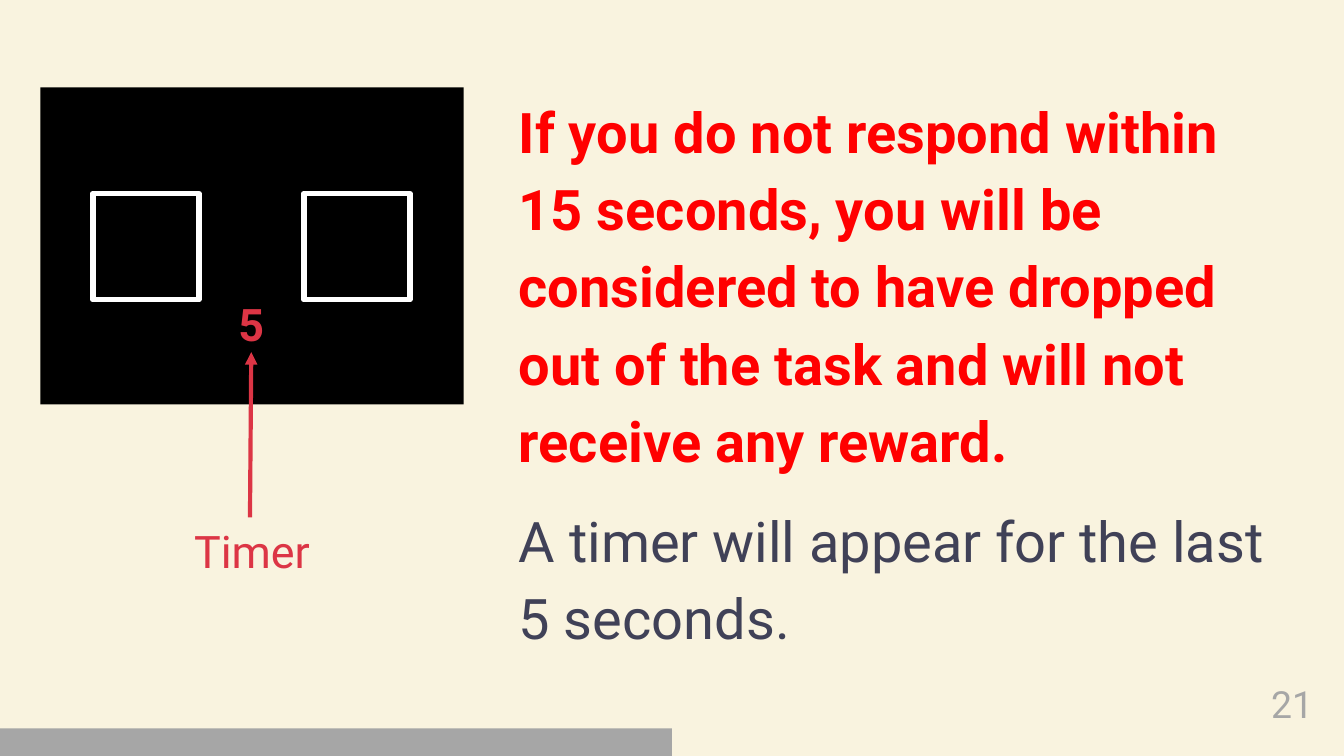
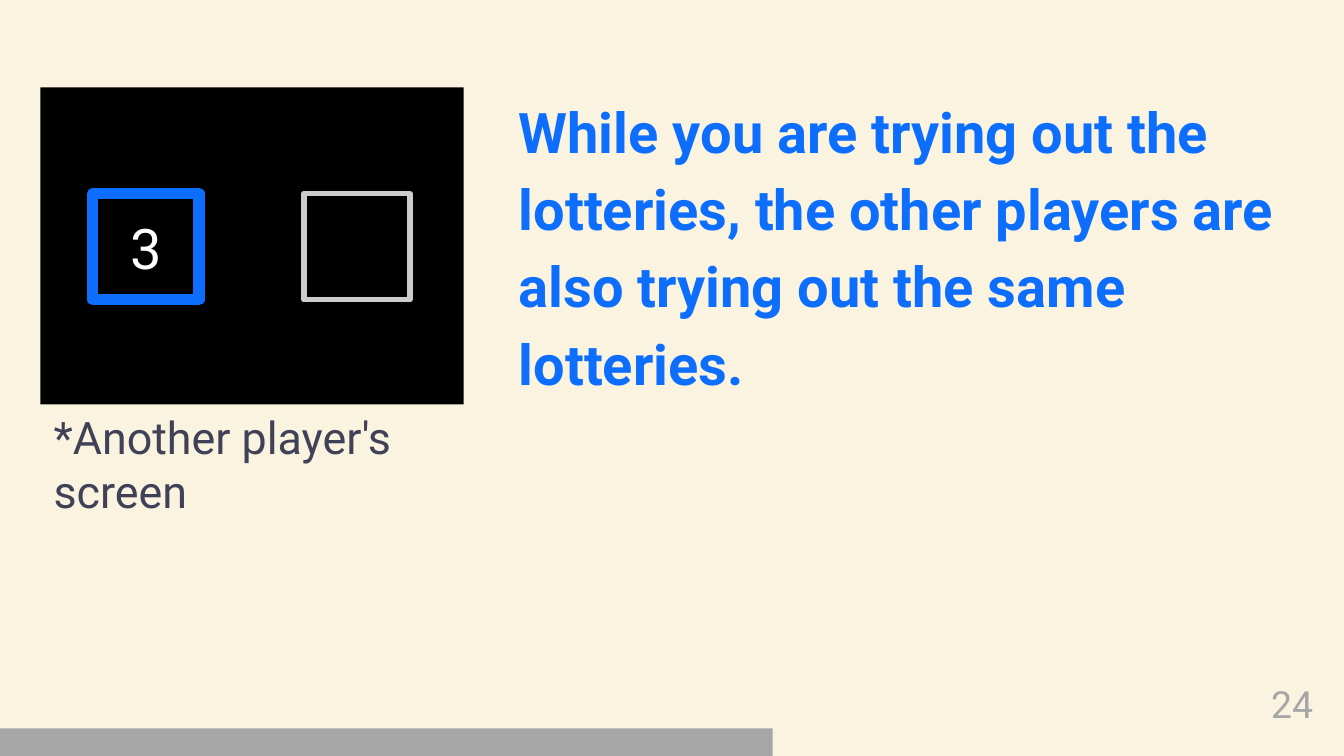
from lxml import etree
from pptx import Presentation
from pptx.dml.color import RGBColor
from pptx.enum.shapes import MSO_CONNECTOR, MSO_SHAPE
from pptx.enum.text import MSO_ANCHOR, PP_ALIGN
from pptx.oxml.ns import qn
from pptx.util import Inches, Pt

RECTANGLE = MSO_SHAPE.RECTANGLE
STRAIGHT = MSO_CONNECTOR.STRAIGHT
TOP, MIDDLE, BOTTOM = MSO_ANCHOR.TOP, MSO_ANCHOR.MIDDLE, MSO_ANCHOR.BOTTOM
LEFT, CENTER, RIGHT = PP_ALIGN.LEFT, PP_ALIGN.CENTER, PP_ALIGN.RIGHT

FONT = "Roboto"
COLORS = {
    "cream": "F9F3DF",
    "black": "000000",
    "white": "FFFFFF",
    "warning": "FF0000",
    "ink": "404157",
    "timer": "DC3545",
    "gray": "A6A6A6",
    "pale": "CCCCCC",
    "blue": "0D6EFD",
}
SCREEN = (0.3, 0.65, 3.15, 2.36)
LOTTERY_LEFTS = (0.69, 2.26)
LOTTERY_TOP, LOTTERY_SIZE = 1.44, 0.79


def add_rectangle(slide, box, fill=None, line=None, weight=3):
    rectangle = slide.shapes.add_shape(RECTANGLE, *map(Inches, box))
    rectangle.shadow.inherit = False
    if fill:
        rectangle.fill.solid()
        rectangle.fill.fore_color.rgb = RGBColor.from_string(COLORS[fill])
    else:
        rectangle.fill.background()
    if line:
        rectangle.line.color.rgb = RGBColor.from_string(COLORS[line])
        rectangle.line.width = Pt(weight)
    else:
        rectangle.line.fill.background()
    return rectangle


def write(shape, paragraphs, size, align=LEFT, anchor=TOP, inset=0.1, spacing=None):
    """Fill a shape with (text, color, bold) paragraphs; inset is left and top."""
    frame = shape.text_frame
    frame.word_wrap = True
    frame.vertical_anchor = anchor
    frame.margin_left = frame.margin_top = Inches(inset)
    frame.margin_right = frame.margin_bottom = Inches(0.1)
    for index, (text, color, bold) in enumerate(paragraphs):
        paragraph = frame.add_paragraph() if index else frame.paragraphs[0]
        paragraph.text = text
        paragraph.alignment = align
        if spacing:
            paragraph.line_spacing = spacing
        if index:
            paragraph.space_before = Pt(12)
        paragraph.font.name = FONT
        paragraph.font.size = Pt(size)
        paragraph.font.bold = bold
        paragraph.font.color.rgb = RGBColor.from_string(COLORS[color])


prs = Presentation()
prs.slide_width = Inches(10)
prs.slide_height = prs.slide_width * 9 // 16

# Per slide: number, progress bar width, (color, weight) of each lottery, message
pages = [
    (21, 5, [("white", 3), ("white", 3)], [
        ("If you do not respond within 15 seconds, you will be considered to have "
         "dropped out of the task and will not receive any reward.", "warning", True),
        ("A timer will appear for the last 5 seconds.", "ink", False),
    ]),
    (24, 5.75, [("blue", 6), ("pale", 3)], [
        ("While you are trying out the lotteries, the other players are also "
         "trying out the same lotteries.", "blue", True),
    ]),
]

slides, lotteries = [], []
for number, progress, outlines, message in pages:
    slide = prs.slides.add_slide(prs.slide_layouts[6])
    slide.background.fill.solid()
    slide.background.fill.fore_color.rgb = RGBColor.from_string(COLORS["cream"])
    add_rectangle(slide, SCREEN, fill="black")
    lotteries.append([
        add_rectangle(slide, (left, LOTTERY_TOP, LOTTERY_SIZE, LOTTERY_SIZE),
                      line=color, weight=weight)
        for left, (color, weight) in zip(LOTTERY_LEFTS, outlines)
    ])
    message_box = slide.shapes.add_textbox(*map(Inches, (3.86, 0.65, 5.84, 4.32)))
    write(message_box, message, 30, inset=0, spacing=1.15)
    page_number = slide.shapes.add_textbox(*map(Inches, (9.27, 5.02, 0.6, 0.43)))
    write(page_number, [(str(number), "gray", False)], 20, RIGHT, MIDDLE)
    add_rectangle(slide, (0, 5.42, progress, 0.21), fill="gray")
    slides.append(slide)

# Timer slide: countdown digit, its label and the arrow between them
timer_slide, player_slide = slides
timer_label = timer_slide.shapes.add_textbox(*map(Inches, (1.03, 3.8, 1.69, 0.61)))
write(timer_label, [("Timer", "timer", False)], 24, CENTER)
countdown = timer_slide.shapes.add_textbox(*map(Inches, (1.44, 2.19, 0.86, 0.52)))
write(countdown, [("5", "timer", True)], 24, CENTER, BOTTOM)
arrow = timer_slide.shapes.add_connector(STRAIGHT, *map(Inches, (1.86, 3.85, 1.87, 2.62)))
arrow.line.color.rgb = RGBColor.from_string(COLORS["timer"])
arrow.line.width = Pt(2.25)
etree.SubElement(arrow.line._get_or_add_ln(), qn("a:tailEnd"), type="triangle")
etree.SubElement(arrow._element.spPr, qn("a:effectLst"))

# Other player's slide: chosen lottery's outcome and the screen caption
write(lotteries[1][0], [("3", "white", False)], 30, CENTER, MIDDLE)
caption = player_slide.shapes.add_textbox(*map(Inches, (0.3, 2.95, 3.15, 1.01)))
write(caption, [("*Another player's screen", "ink", False)], 24)

prs.save("out.pptx")
